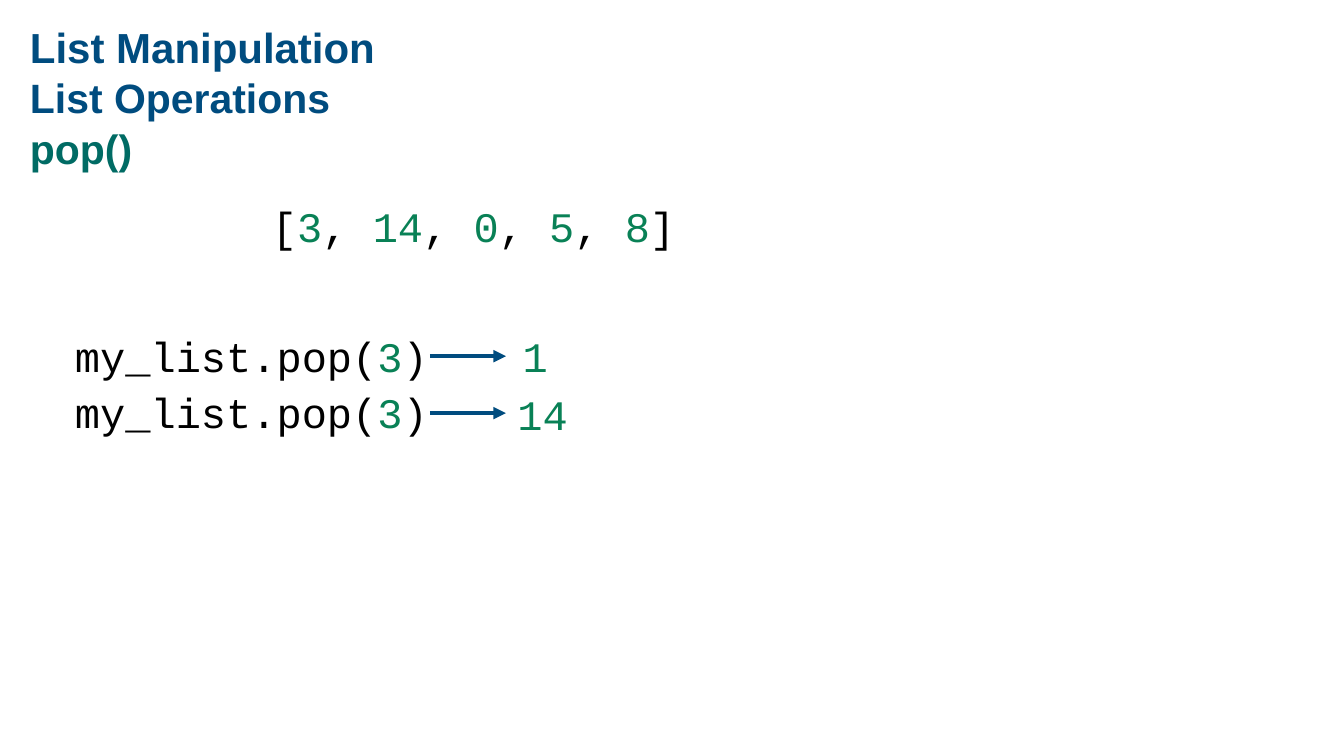
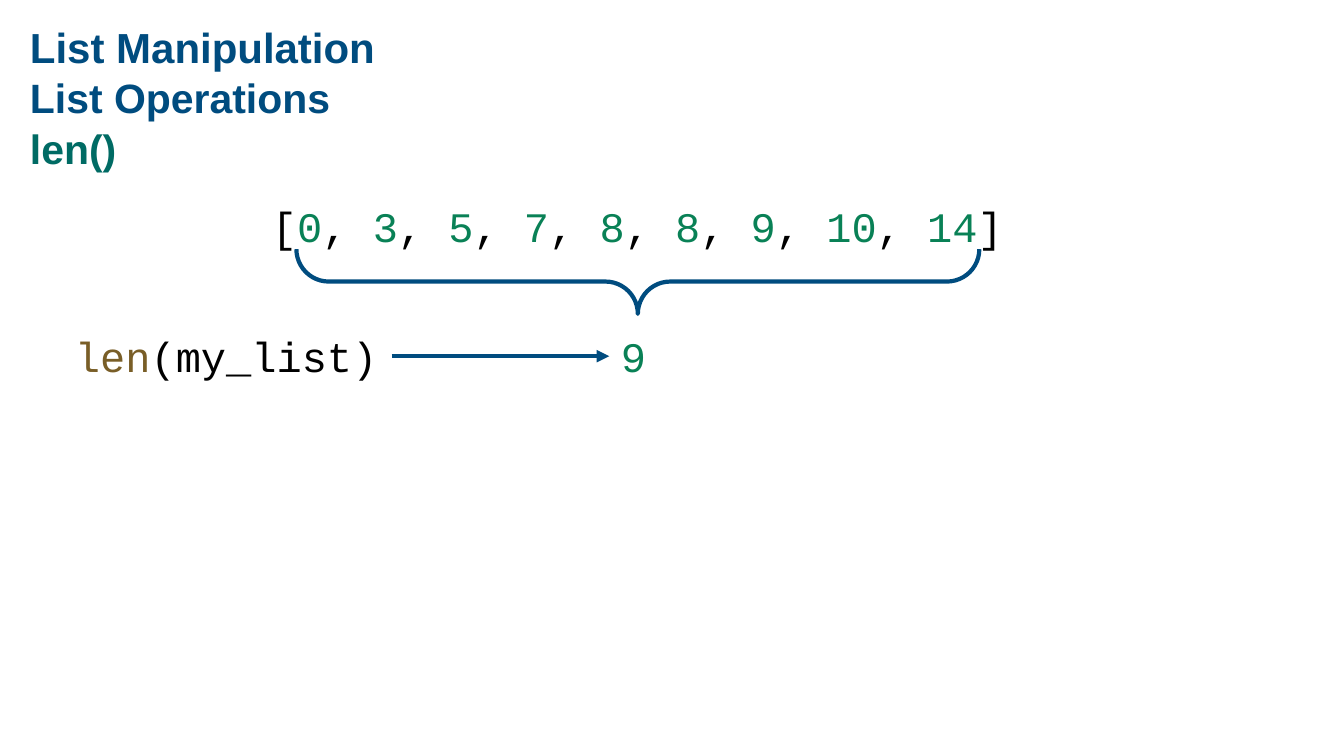
from dataclasses import dataclass
from itertools import groupby

from lxml import etree
from pptx import Presentation
from pptx.dml.color import RGBColor
from pptx.enum import shapes
from pptx.oxml import ns
from pptx.slide import Slide
from pptx.text.text import TextFrame
from pptx.util import Cm, Pt


@dataclass(frozen=True)
class Theme:
    blue: RGBColor = RGBColor(0x00, 0x4C, 0x7F)
    teal: RGBColor = RGBColor(0x00, 0x6B, 0x64)
    code: RGBColor = RGBColor(0x00, 0x00, 0x00)
    number: RGBColor = RGBColor(0x09, 0x81, 0x56)
    builtin: RGBColor = RGBColor(0x79, 0x5E, 0x27)
    title_font: str = "Arial"
    code_font: str = "Courier New"
    main_size: float = 60
    sub_size: float = 58.5
    line_width: float = 6


THEME = Theme()
LIST_LEFT, LIST_TOP = 13.46, 10
CALL_LEFT, CALL_WIDTH = 3.53, 33.9
CALL_TOP, CALL_STEP = 16.54, 2.82
RESULT_STEP = 2.9
ARROW_TOP, ARROW_STEP = 17.95, 2.87
CODE_HEIGHT = 2.82


@dataclass(frozen=True)
class Call:
    """A line of code with an arrow to the value it returns."""
    code: str
    arrow_from: float
    arrow_to: float
    result: str
    result_left: float
    result_width: float
    builtin: str = ""


@dataclass(frozen=True)
class Operation:
    name: str
    values: list[int]
    list_width: float
    calls: list[Call]


OPERATIONS = [
    Operation("pop()", [3, 14, 0, 5, 8], 20.98, [
        Call("my_list.pop(3)", 21.67, 25.5, "1", 26.09, 1.96),
        Call("my_list.pop(3)", 21.67, 25.5, "14", 25.83, 3.45),
    ]),
    Operation("len()", [0, 3, 5, 7, 8, 8, 9, 10, 14], 38.35, [
        Call("len(my_list)", 19.74, 30.71, "9", 31.04, 2.21, builtin="len"),
    ]),
]


def add_box(s: Slide, left: float, top: float, width: float, height: float) -> TextFrame:
    tf = s.shapes.add_textbox(Cm(left), Cm(top), Cm(width), Cm(height)).text_frame
    tf.word_wrap = True
    return tf


def add_run(p, words: str, font: str, size: float, color: RGBColor, bold: bool = False) -> None:
    r = p.add_run()
    r.text = words
    r.font.name, r.font.size, r.font.bold = font, Pt(size), bold
    r.font.color.rgb = color


def add_titles(s: Slide, operation: str) -> None:
    titles = [
        ("List Manipulation", THEME.main_size, THEME.blue),
        ("List Operations", THEME.sub_size, THEME.blue),
        (operation, THEME.sub_size, THEME.teal),
    ]
    for i, (words, size, color) in enumerate(titles):
        tf = add_box(s, 0.82, 0.69 + 2.57 * i, 56.95, 3.96)
        tf.margin_left = tf.margin_right = tf.margin_top = tf.margin_bottom = Cm(0.69)
        p = tf.paragraphs[0]
        p.line_spacing = 0.9
        add_run(p, words, THEME.title_font, size, color, bold=True)


def add_code(s: Slide, code: str, left: float, top: float, width: float, builtin: str = "") -> None:
    """Write code with its numbers and a leading builtin highlighted."""
    p = add_box(s, left, top, width, CODE_HEIGHT).paragraphs[0]
    if builtin:
        add_run(p, builtin, THEME.code_font, THEME.main_size, THEME.builtin)
    for is_number, chars in groupby(code.removeprefix(builtin), str.isdigit):
        color = THEME.number if is_number else THEME.code
        add_run(p, "".join(chars), THEME.code_font, THEME.main_size, color)


def add_arrow(s: Slide, start: float, end: float, y: float) -> None:
    line = s.shapes.add_connector(shapes.MSO_CONNECTOR.STRAIGHT, Cm(start), Cm(y), Cm(end), Cm(y))
    line.line.color.rgb = THEME.blue
    line.line.width = Pt(THEME.line_width)
    etree.SubElement(line.line._get_or_add_ln(), ns.qn("a:tailEnd"), type="triangle")
    etree.SubElement(line._element.spPr, ns.qn("a:effectLst"))


def add_brace(s: Slide, left: float, bottom: float, span: float, depth: float) -> None:
    """Draw a brace pair turned on its side, its lower brace pointing down to bottom."""
    center_x, center_y = left + span / 2, bottom - depth / 2
    sp = s.shapes.add_shape(shapes.MSO_SHAPE.DOUBLE_BRACE, Cm(center_x - depth / 2),
                            Cm(center_y - span / 2), Cm(depth), Cm(span))
    sp.rotation = 270
    sp.shadow.inherit = False
    sp.fill.background()
    sp.line.color.rgb = THEME.blue
    sp.line.width = Pt(THEME.line_width)


def add_operation(prs: Presentation, operation: Operation) -> Slide:
    s = prs.slides.add_slide(prs.slide_layouts[6])
    add_titles(s, operation.name)
    add_code(s, str(operation.values), LIST_LEFT, LIST_TOP, operation.list_width)
    for i, call in enumerate(operation.calls):
        add_code(s, call.code, CALL_LEFT, CALL_TOP + CALL_STEP * i, CALL_WIDTH, call.builtin)
        add_arrow(s, call.arrow_from, call.arrow_to, ARROW_TOP + ARROW_STEP * i)
        add_code(s, call.result, call.result_left, CALL_TOP + RESULT_STEP * i, call.result_width)
    return s


def main() -> None:
    prs = Presentation()
    prs.slide_width, prs.slide_height = Cm(67.74), Cm(38.1)
    _, len_slide = [add_operation(prs, operation) for operation in OPERATIONS]
    add_brace(len_slide, left=14.94, bottom=15.82, span=34.42, depth=19.58)
    prs.save("out.pptx")


if __name__ == "__main__":
    main()
